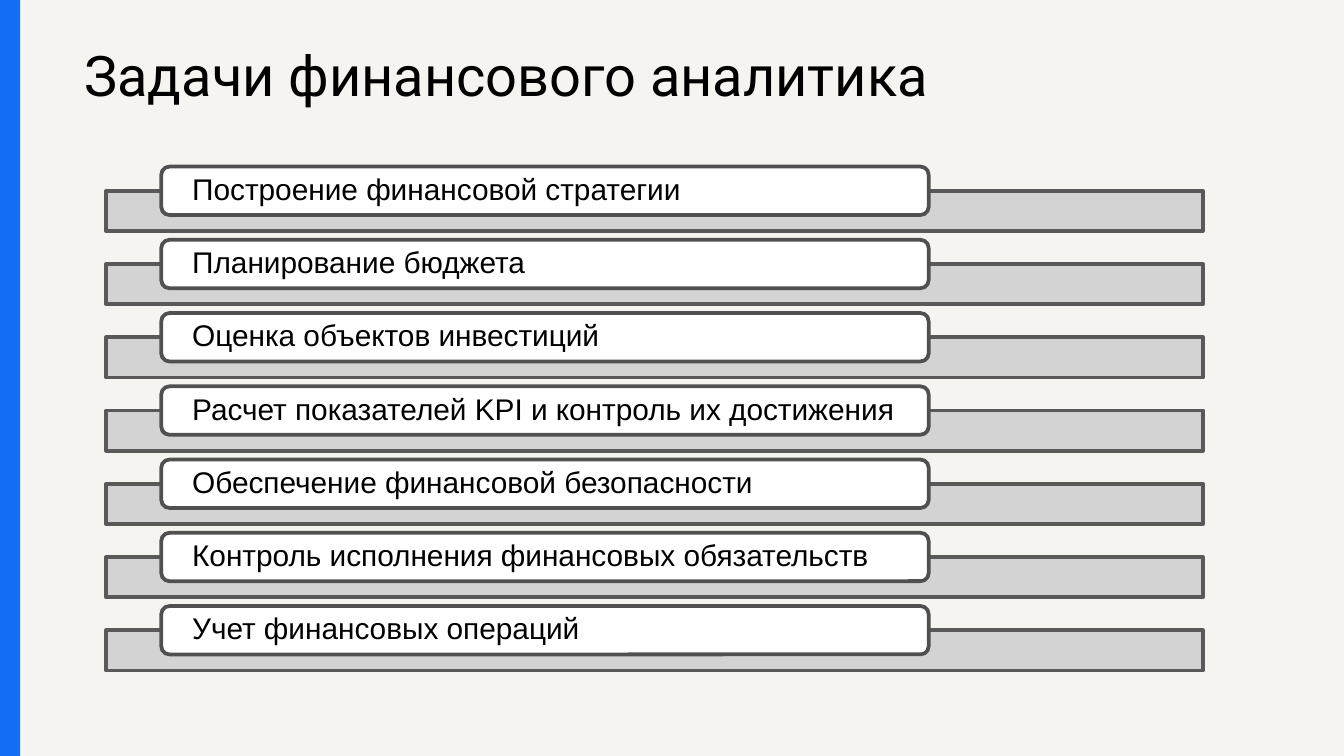
from dataclasses import dataclass

from lxml import etree
from pptx import Presentation
from pptx.dml.color import RGBColor as RGB
from pptx.enum.shapes import MSO_SHAPE as SHAPE
from pptx.enum.text import MSO_ANCHOR as ANCHOR
from pptx.oxml.ns import qn
from pptx.util import Inches, Pt


@dataclass(frozen=True)
class Theme:
    background: str = "F5F4F0"
    accent: str = "136EF6"
    band: str = "D0D0D0"
    band_line: str = "595959"
    card: str = "FFFFFF"
    card_line: str = "505050"
    text: str = "000000"
    title_font: str = "Roboto"
    body_font: str = "Arial"
    title_size: int = 30
    body_size: int = 16
    line_width: int = 2


class SlideBuilder:
    def __init__(self, deck, theme):
        self.theme = theme
        self.page = deck.slides.add_slide(deck.slide_layouts[6])
        self.shapes = self.page.shapes
        fill = self.page.background.fill
        fill.solid()
        fill.fore_color.rgb = RGB.from_string(theme.background)

    def start_group(self):
        self.shapes = self.page.shapes.add_group_shape().shapes

    def block(self, place, color, line=None, kind=SHAPE.RECTANGLE, opacity=100):
        shape = self.shapes.add_shape(kind, *map(Inches, place))
        shape.shadow.inherit = False
        shape.fill.solid()
        shape.fill.fore_color.rgb = RGB.from_string(color)
        if opacity < 100:
            tint = shape.fill._xPr.find(qn("a:solidFill"))[0]
            etree.SubElement(tint, qn("a:alpha")).set("val", str(opacity * 1000))
        if line:
            shape.line.color.rgb = RGB.from_string(line)
            shape.line.width = Pt(self.theme.line_width)
        else:
            shape.line.fill.background()
        return shape

    def text(self, place, words, font, size, insets, anchor=ANCHOR.TOP, spacing=None):
        frame = self.shapes.add_textbox(*map(Inches, place)).text_frame
        frame.word_wrap = True
        frame.vertical_anchor = anchor
        frame.margin_left = frame.margin_right = Inches(insets[0])
        frame.margin_top = frame.margin_bottom = Inches(insets[1])
        frame.text = words
        para = frame.paragraphs[0]
        para.line_spacing = spacing
        span = para.runs[0]
        span.font.name = font
        span.font.size = Pt(size)
        span.font.color.rgb = RGB.from_string(self.theme.text)

    def title(self, words):
        theme = self.theme
        self.text((0.53, 0.2, 7.56, 1.02), words,
                  theme.title_font, theme.title_size, (0.1, 0.1))

    def task(self, top, words, label_width):
        theme = self.theme
        self.block((0.79, top + 0.18, 8.16, 0.3), theme.band, theme.band_line, opacity=90)
        self.block((1.2, top, 5.71, 0.36), theme.card, theme.card_line,
                   SHAPE.ROUNDED_RECTANGLE)
        self.text((1.21, top + 0.02, label_width, 0.32), words, theme.body_font,
                  theme.body_size, (0.22, 0), ANCHOR.MIDDLE, 0.9)


TASKS = [
    "Построение финансовой стратегии",
    "Планирование бюджета",
    "Оценка объектов инвестиций",
    "Расчет показателей KPI и контроль их достижения",
    "Обеспечение финансовой безопасности",
    "Контроль исполнения финансовых обязательств",
    "Учет финансовых операций",
]
FIRST_TOP, LAST_TOP = 1.24, 4.51
LABEL_WIDTH, WIDE_LABEL_WIDTH = 5.68, 6.42


def main():
    deck = Presentation()
    deck.slide_width = Inches(10)
    deck.slide_height = Inches(10 * 9 / 16)
    theme = Theme()
    builder = SlideBuilder(deck, theme)
    builder.title("Задачи финансового аналитика")
    builder.block((0, -0.01, 0.15, 5.65), theme.accent)

    builder.start_group()
    step = (LAST_TOP - FIRST_TOP) / (len(TASKS) - 1)
    longest = max(TASKS, key=len)
    for index, words in enumerate(TASKS):
        width = WIDE_LABEL_WIDTH if words == longest else LABEL_WIDTH
        builder.task(FIRST_TOP + index * step, words, width)

    deck.save("out.pptx")


if __name__ == "__main__":
    main()
